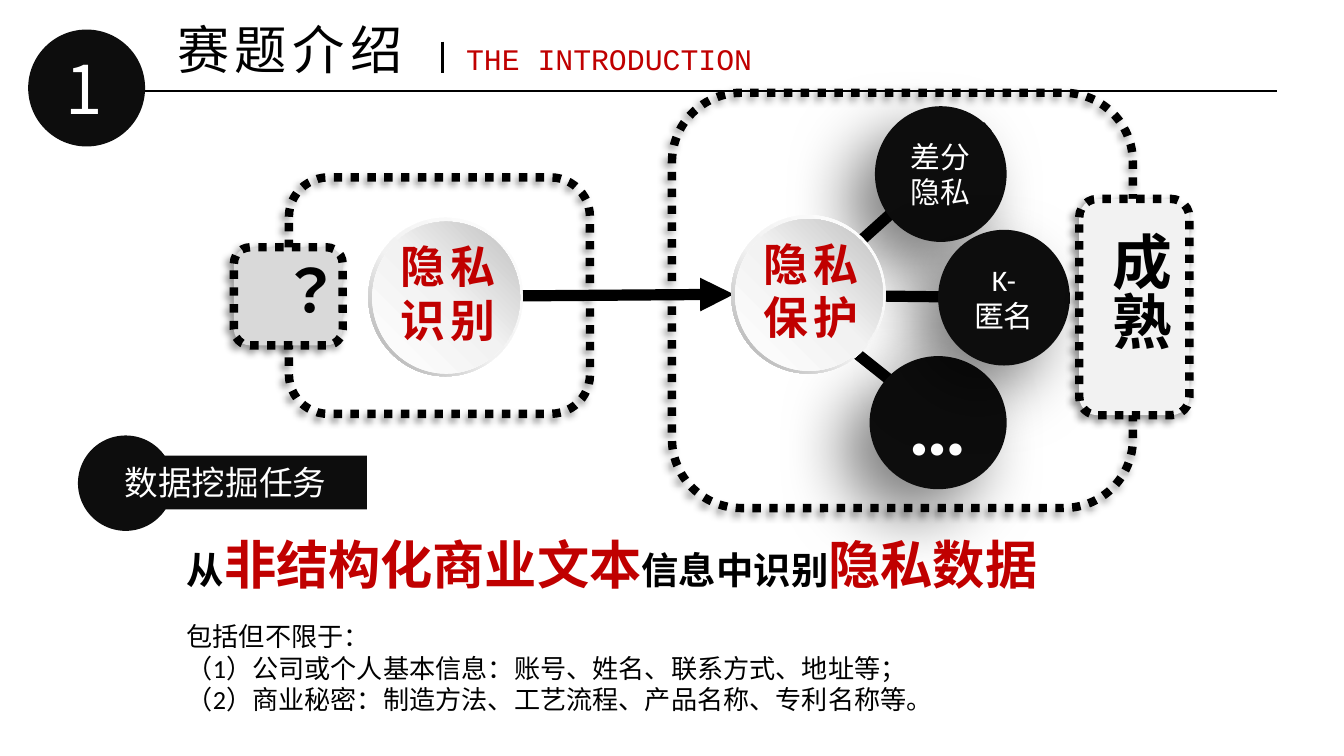
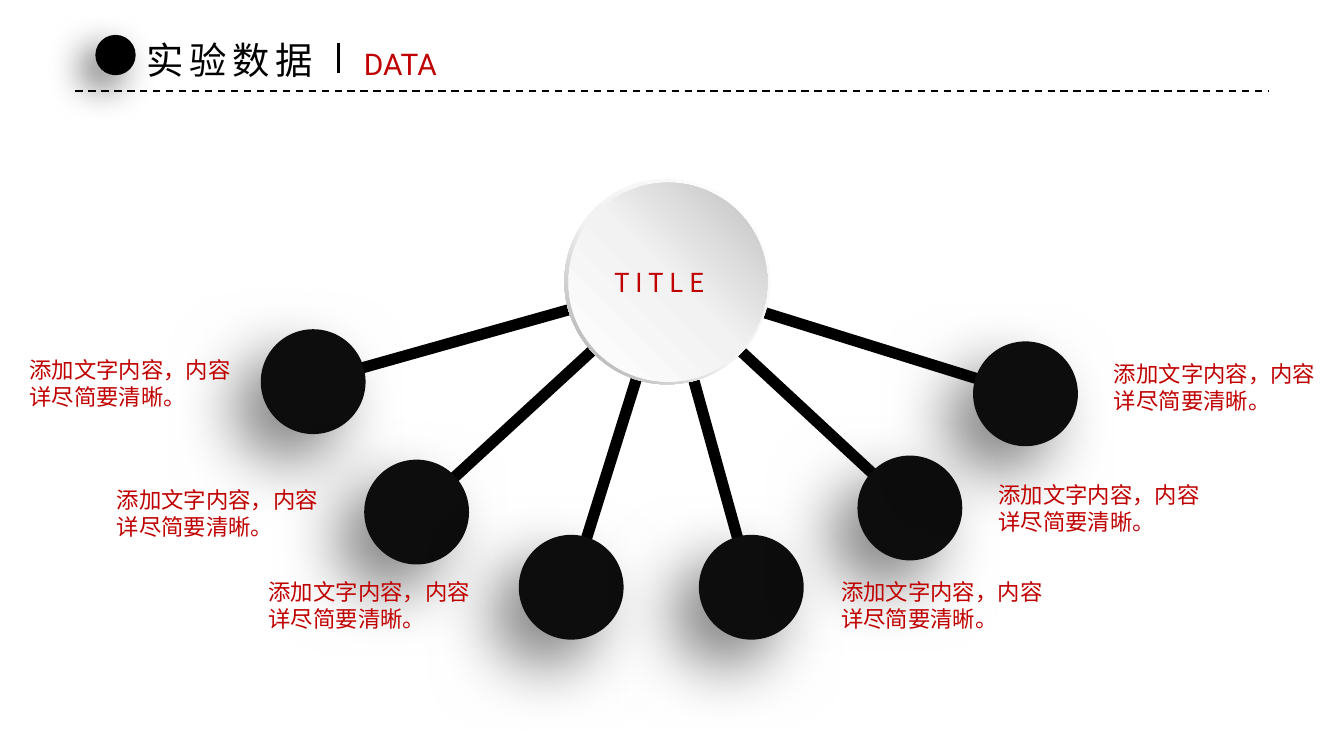
"""Build two slides: the task introduction and the experiment data overview."""
from copy import deepcopy
from dataclasses import dataclass

from lxml.etree import SubElement
from pptx import Presentation
from pptx.dml.color import RGBColor
from pptx.enum.dml import MSO_LINE
from pptx.enum.shapes import MSO_CONNECTOR, MSO_SHAPE
from pptx.enum.text import MSO_ANCHOR, MSO_AUTO_SIZE, PP_ALIGN
from pptx.oxml.ns import qn
from pptx.util import Inches, Pt


@dataclass(frozen=True)
class Theme:
    black: str = "000000"
    ink: str = "0D0D0D"
    white: str = "FFFFFF"
    red: str = "C00000"
    pale: str = "F2F2F2"
    grey: str = "D9D9D9"
    sans: str = "Noto Sans CJK SC"
    title_font: str = "Noto Sans CJK JP"
    latin: str = "Calibri"
    huge: int = 44
    number: int = 36
    mark: int = 32
    big: int = 28
    ball: int = 24
    lead: int = 20
    banner: int = 18
    sub: int = 16
    body: int = 14
    note: int = 12
    thin: float = 1
    divider: float = 1.5
    frame: float = 4.5
    link: float = 6
    ring_grad: tuple = ((0, "FFFFFF"), (55, "F2F2F2"), (100, "A6A6A6"))
    ball_grad: tuple = ((0, "FFFFFF"), (51, "F2F2F2"), (100, "BFBFBF"))
    dot_shadow: tuple = (50, 35, 20)
    bullet_shadow: tuple = (60, 20, 10)
    frame_shadow: tuple = (40, 4, 3)


T = Theme()

INTRO_HEADER = dict(
    rule=(0.62, 9.5), dash=None, divider=(3.29, 0.31),
    title=("赛题介绍", (1.22, 0.08, 1.94, 0.57), T.big, T.title_font),
    subtitle=("THE INTRODUCTION", (3.37, 0.25, 2.43, 0.37), "Courier New"))
DATA_HEADER = dict(
    rule=(0.56, 9.44), dash=MSO_LINE.DASH, divider=(2.52, 0.32),
    title=("实验数据", (0.99, 0.23, 1.49, 0.44), T.lead, T.sans),
    subtitle=("DATA", (2.61, 0.29, 0.76, 0.37), "Roboto"))

BALLS = [("隐私识别", 2.74, 1.62), ("隐私保护", 5.44, 1.6)]
METHODS = [
    (["差分隐私"], (6.51, 0.79, 0.98, 1.01), dict(size=T.sub, font=T.sans)),
    (["…"], (6.47, 2.65, 1.02, 0.99), dict(size=T.huge, font=T.latin, bold=True)),
    (["K-", "匿名"], (6.98, 1.71, 0.98, 1.01), dict(size=T.sub, font=T.latin)),
]
METHOD_LINKS = [((7.96, 2.22), (5.44, 2.19)),
                ((7.3, 3.37), (6.11, 2.42)),
                ((7.35, 0.94), (6.14, 2.03))]
FRAMES = [(5, 0.69, 3.43, 3.09), (2.15, 1.32, 2.24, 1.76)]
TAGS = [("成熟", (8.03, 1.48, 0.82, 1.61), T.pale, PP_ALIGN.LEFT, 0.21, 0.06),
        ("？", (1.74, 1.84, 0.81, 0.73), T.grey, PP_ALIGN.CENTER, 0.05, 0.1)]
STRONG = dict(size=T.big, font=T.sans, color=T.red)
GOAL = [[("从", {}), ("非结构化商业文本", STRONG),
         ("信息中识别", {}), ("隐私数据", STRONG)]]
SCOPE = ["包括但不限于：\n（1）公司或个人基本信息：账号、姓名、联系方式、地址等；\n"
         "（2）商业秘密：制造方法、工艺流程、产品名称、专利名称等。"]

HUB = (4.96, 2.1)
DOT = 0.78
NOTE = ["添加文字内容，内容", "详尽简要清晰。"]
BRANCHES = [((1.94, 2.45), (0.12, 2.6)), ((2.71, 3.42), (0.77, 3.57)),
            ((3.86, 3.98), (1.9, 4.25)), ((5.2, 3.98), (6.16, 4.25)),
            ((6.38, 3.39), (7.33, 3.53)), ((7.24, 2.54), (8.19, 2.63))]


def rgb(color):
    return RGBColor.from_string(color)


def add_run(p, text, size, font, color, bold=False, spacing=0):
    for i, line_text in enumerate(text.split("\n")):
        if i:
            p.add_line_break()
        r = p.add_run()
        r.text = line_text
        r.font.size, r.font.bold, r.font.name = Pt(size), bold, font
        r.font.color.rgb = rgb(color)
        rpr = r._r.get_or_add_rPr()
        if spacing:
            rpr.set("spc", str(spacing * 100))
        ea = font if "CJK" in font else T.sans
        SubElement(rpr, qn("a:ea")).set("typeface", ea)
        if i:
            p._p.findall(qn("a:br"))[-1].append(deepcopy(rpr))


def write(sp, paragraphs, align=PP_ALIGN.LEFT, anchor=MSO_ANCHOR.TOP,
          wrap=True, grow=True, vertical=False, top=0.05, right=0.1, **fmt):
    tf = sp.text_frame
    tf.word_wrap, tf.vertical_anchor = wrap, anchor
    tf.auto_size = MSO_AUTO_SIZE.SHAPE_TO_FIT_TEXT if grow else MSO_AUTO_SIZE.NONE
    tf.margin_top, tf.margin_right = Inches(top), Inches(right)
    if vertical:
        tf._txBody.bodyPr.set("vert", "eaVert")
    for i, runs in enumerate(paragraphs):
        p = tf.add_paragraph() if i else tf.paragraphs[0]
        p.alignment = align
        for text, own in [(runs, {})] if isinstance(runs, str) else runs:
            add_run(p, text, **{**fmt, **own})


def label(s, box, paragraphs, **fmt):
    write(s.shapes.add_textbox(*map(Inches, box)), paragraphs, **fmt)


def add_shadow(sp, alpha, blur, dist):
    effects = sp._element.spPr.find(qn("a:effectLst"))
    outer = SubElement(effects, qn("a:outerShdw"), blurRad=str(Pt(blur)),
                       dist=str(Pt(dist)), dir="8100000", algn="tr",
                       rotWithShape="0")
    color = SubElement(outer, qn("a:srgbClr"), val=T.black)
    SubElement(color, qn("a:alpha"), val=str(alpha * 1000))


def shape(s, kind, box, fill=None, framed=False, shadow=None):
    sp = s.shapes.add_shape(kind, *map(Inches, box))
    sp.shadow.inherit = False
    if fill:
        sp.fill.solid()
        sp.fill.fore_color.rgb = rgb(fill)
    else:
        sp.fill.background()
    if framed:
        sp.line.color.rgb = rgb(T.black)
        sp.line.width, sp.line.dash_style = Pt(T.frame), MSO_LINE.ROUND_DOT
    else:
        sp.line.fill.background()
    if shadow:
        add_shadow(sp, *shadow)
    return sp


def line(s, start, end, width, dash=None, arrow=False):
    c = s.shapes.add_connector(MSO_CONNECTOR.STRAIGHT, *map(Inches, start + end))
    c.line.color.rgb, c.line.width = rgb(T.black), Pt(width)
    if dash:
        c.line.dash_style = dash
    if arrow:
        SubElement(c.line._get_or_add_ln(), qn("a:tailEnd"), type="triangle")
    SubElement(c._element.spPr, qn("a:effectLst"))


def gradient(sp, stops, angle):
    sp.fill.gradient()
    sp.fill.gradient_angle = angle
    gs_list = sp._element.spPr.find(".//" + qn("a:gsLst"))
    for gs in list(gs_list):
        gs_list.remove(gs)
    for pos, color in stops:
        gs = SubElement(gs_list, qn("a:gs"), pos=str(pos * 1000))
        SubElement(gs, qn("a:srgbClr"), val=color)


def ball(s, x, y, w, h):
    ring = shape(s, MSO_SHAPE.DONUT, (x, y, w, h))
    ring.adjustments[0] = 0.049
    gradient(ring, T.ring_grad, 225)
    face = (x + 0.03, y + 0.03, w - 0.05, h - 0.05)
    gradient(shape(s, MSO_SHAPE.OVAL, face), T.ball_grad, 45)


def header(s, rule, dash, divider, title, subtitle):
    left, right = rule
    line(s, (left, 0.68), (right, 0.68), T.thin, dash=dash)
    text, box, size, font = title
    label(s, box, [text], wrap=False, size=size, font=font, color=T.black, spacing=3)
    text, box, font = subtitle
    label(s, box, [text], wrap=False, size=T.sub, font=font, color=T.red)
    x, y = divider
    line(s, (x, y), (x, 0.54), T.divider)


def intro_slide(s):
    line(s, (2.76, 2.21), (5.46, 2.19), T.link, arrow=True)
    for start, end in METHOD_LINKS:
        line(s, start, end, T.link)
    header(s, **INTRO_HEADER)

    shape(s, MSO_SHAPE.OVAL, (0.58, 3.24, 0.71, 0.71), T.ink)
    banner = shape(s, MSO_SHAPE.RECTANGLE, (0.83, 3.39, 1.9, 0.4), T.ink)
    write(banner, ["数据挖掘任务"], wrap=False, size=T.banner, font="Lato",
          color=T.white)
    shape(s, MSO_SHAPE.OVAL, (0.21, 0.22, 0.87, 0.87), T.ink)
    label(s, (0.39, 0.3, 0.47, 0.71), ["1"], size=T.number, font=T.title_font,
          color=T.white)

    for paragraphs, box, fmt in METHODS:
        sp = shape(s, MSO_SHAPE.OVAL, box, T.ink, shadow=T.dot_shadow)
        write(sp, paragraphs, align=PP_ALIGN.CENTER, anchor=MSO_ANCHOR.MIDDLE,
              grow=False, color=T.white, **fmt)
    for text, x, y in BALLS:
        ball(s, x, y, 1.15, 1.18)
        label(s, (x + 0.14, y + 0.11, 0.98, 0.91), [text], size=T.ball,
              font=T.sans, color=T.red, bold=True, spacing=3)

    label(s, (1.29, 4.57, 6.84, 0.81), SCOPE, size=T.body, font=T.latin,
          color=T.black)
    label(s, (1.29, 3.91, 6.95, 0.57), GOAL, size=T.lead, font=T.latin,
          color=T.black, bold=True)

    for box in FRAMES:
        shape(s, MSO_SHAPE.ROUNDED_RECTANGLE, box, framed=True,
              shadow=T.frame_shadow)
    for text, box, fill, align, top, right in TAGS:
        sp = shape(s, MSO_SHAPE.ROUNDED_RECTANGLE, box, fill, framed=True,
                   shadow=T.frame_shadow)
        write(sp, [text], align=align, vertical=True, top=top, right=right,
              size=T.mark, font=T.sans, color=T.black, bold=True)


def data_slide(s):
    header(s, **DATA_HEADER)
    shape(s, MSO_SHAPE.OVAL, (0.71, 0.26, 0.3, 0.3), T.black,
          shadow=T.bullet_shadow)
    for (x, y), _ in BRANCHES:
        line(s, HUB, (x + DOT / 2, y + DOT / 2), T.link)
    for (x, y), _ in BRANCHES:
        shape(s, MSO_SHAPE.OVAL, (x, y, DOT, DOT), T.ink, shadow=T.dot_shadow)
    ball(s, 4.2, 1.33, 1.53, 1.53)
    label(s, (4.47, 1.93, 0.99, 0.34), ["TITLE"], wrap=False, size=T.body,
          font=T.sans, color=T.red, spacing=3)
    for _, (x, y) in BRANCHES:
        label(s, (x, y, 1.72, 0.5), NOTE, wrap=False, size=T.note, font=T.sans,
              color=T.red)


def main():
    prs = Presentation()
    prs.slide_width, prs.slide_height = Inches(10), Inches(10 * 9 / 16)
    for build in (intro_slide, data_slide):
        build(prs.slides.add_slide(prs.slide_layouts[6]))
    prs.save("out.pptx")


if __name__ == "__main__":
    main()
